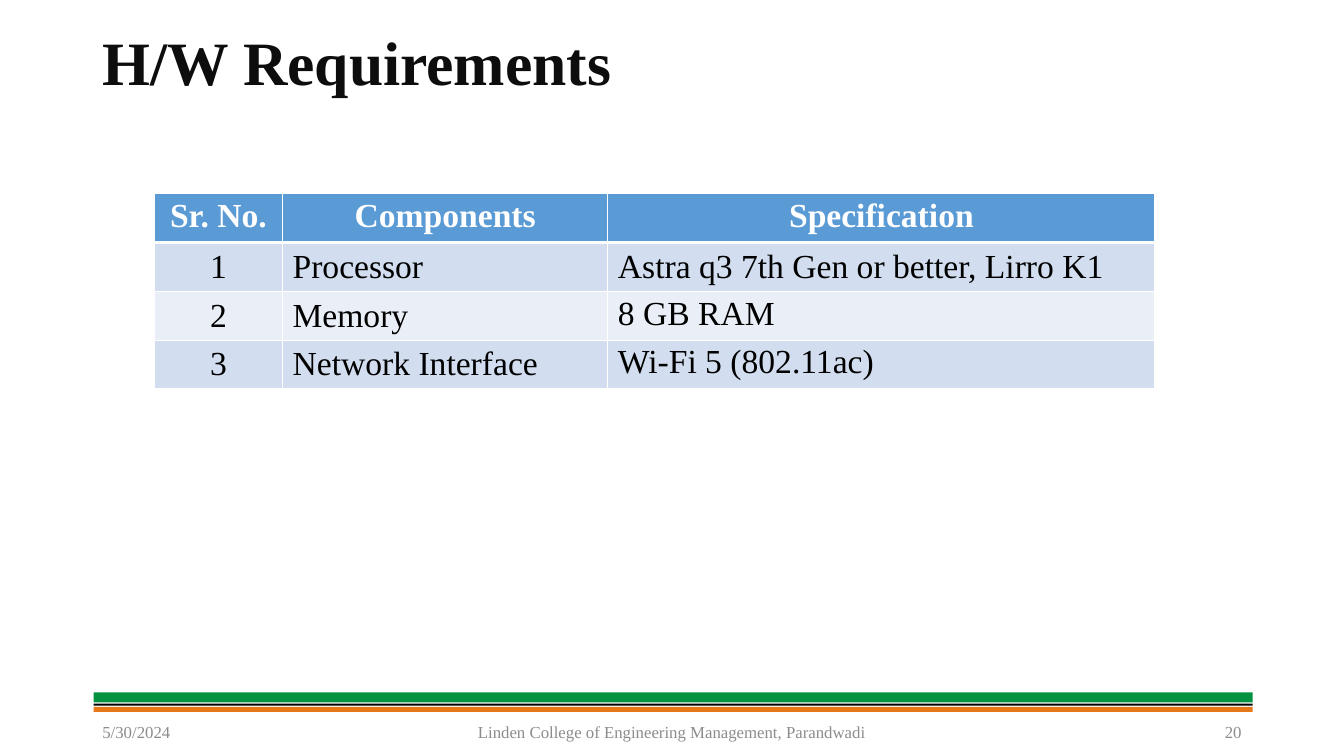
from lxml import etree
from pptx import Presentation
from pptx import util as u
from pptx.dml.color import RGBColor
from pptx.enum import shapes, text
from pptx.oxml.ns import qn

GREEN = RGBColor(0x02, 0x91, 0x3F)
ORANGE = RGBColor(0xE6, 0x78, 0x17)
BLACK = RGBColor(0, 0, 0)
WHITE = RGBColor(255, 255, 255)
GREY = RGBColor(0x8C, 0x8C, 0x8C)
INK = RGBColor(0x0D, 0x0D, 0x0D)
BLUE = RGBColor(0x5B, 0x9B, 0xD5)
BANDS = [RGBColor(0xEA, 0xEF, 0xF7), RGBColor(0xD2, 0xDE, 0xEF)]
LEFT, MID, RIGHT = text.PP_ALIGN.LEFT, text.PP_ALIGN.CENTER, text.PP_ALIGN.RIGHT
TOP, MIDDLE = text.MSO_ANCHOR.TOP, text.MSO_ANCHOR.MIDDLE


def write(frame, words, size=24, color=BLACK, bold=False, align=LEFT):
    para = frame.paragraphs[0]
    para.alignment = align
    run = para.add_run()
    run.text = words
    font = run.font
    font.name, font.size, font.bold = "Times New Roman", u.Pt(size), bold
    font.color.rgb = color


def edge(cell, side, width):
    """Draw a white border on one side (L, R, T or B) of a cell."""
    props = cell._tc.get_or_add_tcPr()
    line = etree.SubElement(props, qn(f"a:ln{side}"), w=str(u.Pt(width)))
    fill = etree.SubElement(line, qn("a:solidFill"))
    etree.SubElement(fill, qn("a:srgbClr"), val=str(WHITE))


deck = Presentation()
deck.slide_width, deck.slide_height = u.Cm(33.87), u.Cm(19.05)
slide = deck.slides.add_slide(deck.slide_layouts[6])

# Footer stripes
for top, high, color in [(17.45, 0.25, GREEN), (17.81, 0.13, ORANGE), (17.73, 0.05, BLACK)]:
    bar = slide.shapes.add_shape(
        shapes.MSO_SHAPE.RECTANGLE, u.Cm(2.36), u.Cm(top), u.Cm(29.21), u.Cm(high))
    bar.shadow.inherit = False
    bar.fill.solid()
    bar.fill.fore_color.rgb = color
    bar.line.fill.background()

# Title and footer texts
foot = dict(size=12, color=GREY)
for words, left, top, wide, high, anchor, style in [
    ("5/30/2024", 2.33, 17.93, 7.62, 1.02, MIDDLE, foot),
    ("Linden College of Engineering Management, Parandwadi",
     11.22, 17.93, 11.43, 1.02, MIDDLE, dict(foot, align=MID)),
    ("20", 23.92, 17.93, 7.62, 1.02, MIDDLE, dict(foot, align=RIGHT)),
    ("H/W Requirements", 2.33, 0.48, 24.87, 2.13, TOP, dict(size=44, color=INK, bold=True)),
]:
    box = slide.shapes.add_textbox(u.Cm(left), u.Cm(top), u.Cm(wide), u.Cm(high))
    box.text_frame.word_wrap = True
    box.text_frame.vertical_anchor = anchor
    write(box.text_frame, words, **style)

# Requirements table
rows = [
    ("Sr. No.", "Components", "Specification"),
    ("1", "Processor", "Astra q3 7th Gen or better, Lirro K1"),
    ("2", "Memory", "8 GB RAM"),
    ("3", "Network Interface", "Wi-Fi 5 (802.11ac)"),
]
widths = [3.23, 8.2, 13.79]
high = 1.23
table = slide.shapes.add_table(
    len(rows), len(widths), u.Cm(3.89), u.Cm(4.88),
    u.Cm(sum(widths)), u.Cm(high * len(rows))).table
for col, wide in zip(table.columns, widths):
    col.width = u.Cm(wide)
for r, row in enumerate(rows):
    table.rows[r].height = u.Cm(high)
    head = r == 0
    for c, words in enumerate(row):
        cell = table.cell(r, c)
        cell.margin_top = cell.margin_bottom = u.Cm(0.1)
        for side in "LRTB":
            thick = (r, side) in [(0, "B"), (1, "T")]
            edge(cell, side, 3 if thick else 1)
        cell.fill.solid()
        cell.fill.fore_color.rgb = BLUE if head else BANDS[r % 2]
        cell.vertical_anchor = TOP if head or (c == 2 and r > 1) else MIDDLE
        write(cell.text_frame, words, color=WHITE if head else BLACK, bold=head,
              align=MID if head or c == 0 else LEFT)

deck.save("out.pptx")
